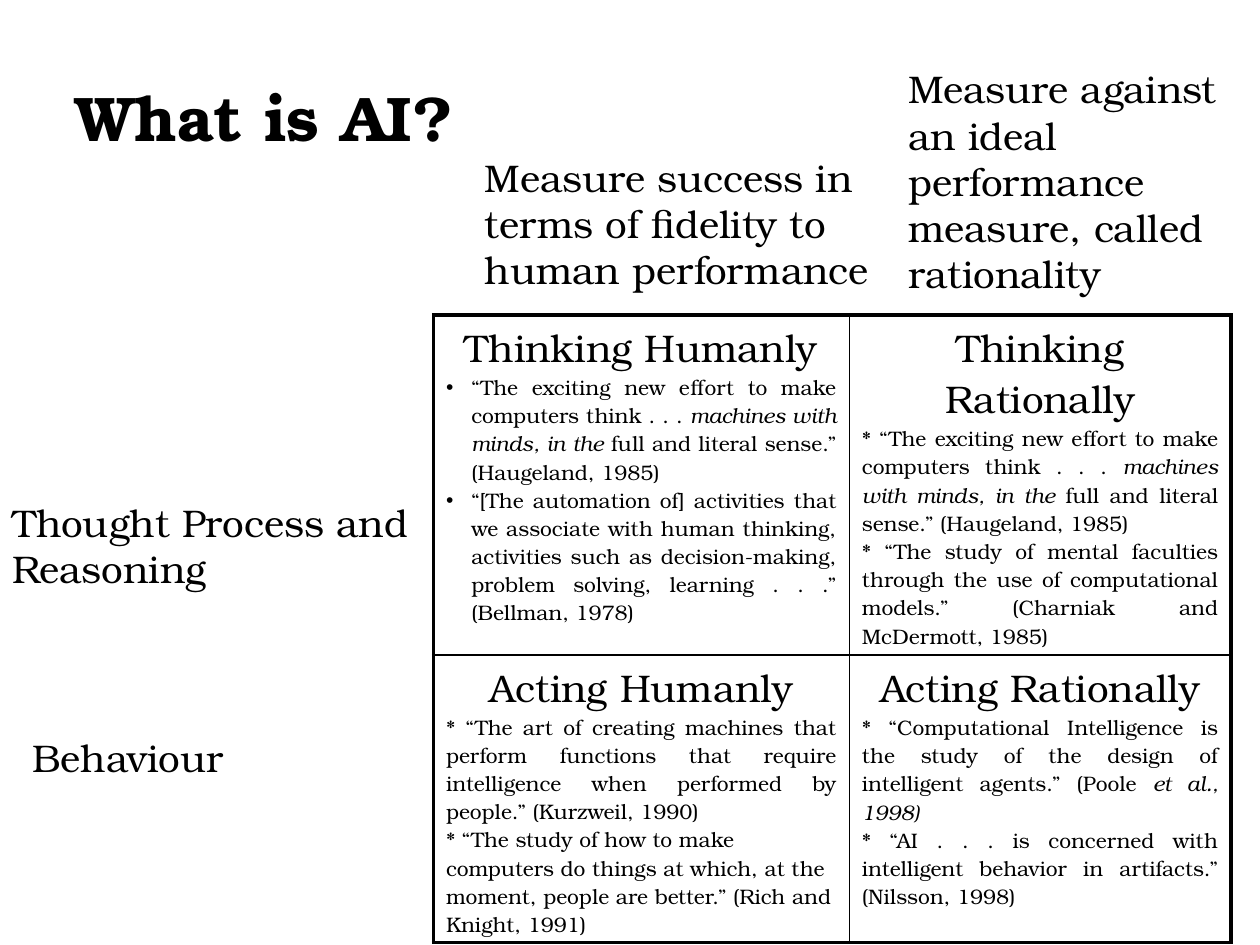
from pptx import Presentation
from pptx.dml.color import RGBColor
from pptx.enum.text import MSO_ANCHOR, PP_ALIGN
from pptx.oxml import parse_xml
from pptx.oxml.ns import nsdecls
from pptx.util import Inches, Pt

BLACK = RGBColor(0, 0, 0)
WHITE = RGBColor(255, 255, 255)
FONT = "TeX Gyre Bonum"
LEFT, CENTER, JUSTIFY = PP_ALIGN.LEFT, PP_ALIGN.CENTER, PP_ALIGN.JUSTIFY
TOP, MIDDLE = MSO_ANCHOR.TOP, MSO_ANCHOR.MIDDLE
LABEL_SIZE, QUOTE_SIZE = 22, 12
OUTER_LINE, INNER_LINE = 2.25, 1

MACHINES_QUOTE = [
    "“The exciting new effort to make computers think . . . ",
    "machines with minds, in the ",
    "full and literal sense.” (Haugeland, 1985)",
]

# Each quote is a list of runs in which every second run is italic.
CELLS = [
    [
        ("Thinking Humanly", [
            MACHINES_QUOTE,
            ["“[The automation of] activities that we associate with human thinking, "
             "activities such as decision-making, problem solving, learning . . .” "
             "(Bellman, 1978)"],
        ]),
        ("Thinking Rationally", [
            ["* " + MACHINES_QUOTE[0], *MACHINES_QUOTE[1:]],
            ["* “The study of mental faculties through the use of computational "
             "models.” (Charniak and McDermott, 1985)"],
        ]),
    ],
    [
        ("Acting Humanly", [
            ["* “The art of creating machines that perform functions that require "
             "intelligence when performed by people.” (Kurzweil, 1990)"],
            ["* “The study of how to make computers do things at which, at the "
             "moment, people are better.” (Rich and Knight, 1991)"],
        ]),
        ("Acting Rationally", [
            ["* “Computational Intelligence is the study of the design of "
             "intelligent agents.” (Poole ", "et al., 1998)"],
            ["* “AI . . . is concerned with intelligent behavior in artifacts.” "
             "(Nilsson, 1998)"],
        ]),
    ],
]
BULLETED_CELL = (0, 0)
LEFT_ALIGNED_QUOTE = (1, 0, 1)

LABELS = [
    ("Thought Process and Reasoning", 0, 3.91, 3.44, 0.84),
    ("Behaviour", 0.16, 5.78, 2.03, 0.47),
    ("Measure success in terms of fidelity to human performance", 3.75, 1.17, 3.28, 1.21),
    ("Measure against an ideal performance measure, called rationality",
     7.11, 0.47, 2.89, 1.95),
]


def write_runs(paragraph, runs, size=LABEL_SIZE, bold=False, align=LEFT):
    """Write the runs into the paragraph, every second one in italics."""
    paragraph.alignment = align
    for index, text in enumerate(runs):
        run = paragraph.add_run()
        run.text = text
        run.font.name = FONT
        run.font.size = Pt(size)
        run.font.bold = bold
        run.font.italic = index % 2 == 1
        run.font.color.rgb = BLACK


def add_text(slide, text, left, top, width, height, anchor=TOP, **text_format):
    box = slide.shapes.add_textbox(Inches(left), Inches(top), Inches(width), Inches(height))
    box.text_frame.word_wrap = True
    box.text_frame.vertical_anchor = anchor
    write_runs(box.text_frame.paragraphs[0], [text], **text_format)


def add_bullet(paragraph):
    properties = paragraph._p.get_or_add_pPr()
    indent = Inches(0.2)
    properties.set("marL", str(indent))
    properties.set("indent", str(-indent))
    properties.append(parse_xml(f'<a:buFont {nsdecls("a")} typeface="Arial"/>'))
    properties.append(parse_xml(f'<a:buChar {nsdecls("a")} char="•"/>'))


def set_borders(cell, **line_widths):
    properties = cell._tc.get_or_add_tcPr()
    for position, (side, width) in enumerate(line_widths.items()):
        properties.insert(position, parse_xml(
            f'<a:ln{side} {nsdecls("a")} w="{Pt(width)}"><a:solidFill>'
            f'<a:srgbClr val="{BLACK}"/></a:solidFill></a:ln{side}>'))


def fill_cell(cell, row, column):
    heading, quotes = CELLS[row][column]
    frame = cell.text_frame
    write_runs(frame.paragraphs[0], [heading], align=CENTER)
    for index, quote in enumerate(quotes):
        paragraph = frame.add_paragraph()
        align = LEFT if (row, column, index) == LEFT_ALIGNED_QUOTE else JUSTIFY
        write_runs(paragraph, quote, size=QUOTE_SIZE, align=align)
        if (row, column) == BULLETED_CELL:
            add_bullet(paragraph)


def add_definition_table(slide):
    column_widths, row_heights = (3.3, 3.03), (2.7, 2.28)
    table = slide.shapes.add_table(
        len(row_heights), len(column_widths), Inches(3.44), Inches(2.5),
        Inches(sum(column_widths)), Inches(sum(row_heights))).table
    table.first_row = table.horz_banding = False
    for column, width in zip(table.columns, column_widths):
        column.width = Inches(width)
    for row, height in zip(table.rows, row_heights):
        row.height = Inches(height)
    for row, cells in enumerate(CELLS):
        for column in range(len(cells)):
            cell = table.cell(row, column)
            cell.fill.solid()
            cell.fill.fore_color.rgb = WHITE
            set_borders(
                cell,
                L=OUTER_LINE if column == 0 else INNER_LINE,
                R=INNER_LINE if column == 0 else OUTER_LINE,
                T=OUTER_LINE if row == 0 else INNER_LINE,
                B=INNER_LINE if row == 0 else OUTER_LINE)
            fill_cell(cell, row, column)


def main():
    presentation = Presentation()
    presentation.slide_width = Inches(10)
    presentation.slide_height = Inches(7.5)
    slide = presentation.slides.add_slide(presentation.slide_layouts[6])
    add_text(slide, "What is AI?", 0.5, 0.3, 9, 1.25, anchor=MIDDLE, size=36, bold=True)
    add_definition_table(slide)
    for label in LABELS:
        add_text(slide, *label)
    presentation.save("out.pptx")


if __name__ == "__main__":
    main()
